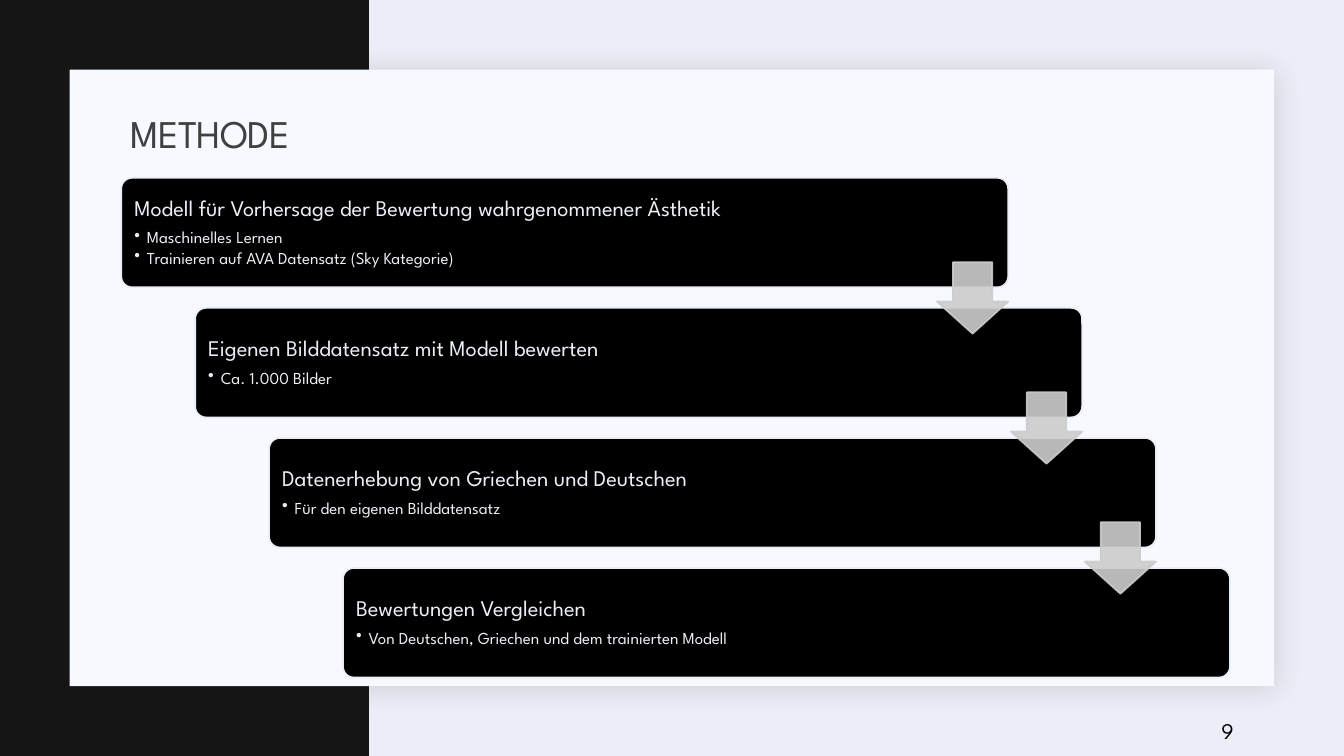
import pptx
import pptx.util
import pptx.dml.color
import pptx.enum.shapes
import pptx.enum.text
import pptx.oxml
import pptx.oxml.ns

Pt = pptx.util.Pt
RGB = pptx.dml.color.RGBColor
KIND = pptx.enum.shapes.MSO_SHAPE
MIDDLE = pptx.enum.text.MSO_ANCHOR.MIDDLE
LEFT = pptx.enum.text.PP_ALIGN.LEFT

FONT = "League Spartan"
PALE = RGB(0xEC, 0xEE, 0xF7)
DARK = RGB(0x14, 0x15, 0x14)
PANEL = RGB(0xF6, 0xF9, 0xFF)
BLACK = RGB(0, 0, 0)
ARROW = RGB(0xCC, 0xCC, 0xCC)
TITLE = RGB(0x40, 0x40, 0x40)

STEPS = [
    ("Modell für Vorhersage der Bewertung wahrgenommener Ästhetik",
     ["Maschinelles Lernen", "Trainieren auf AVA Datensatz (Sky Kategorie)"]),
    ("Eigenen Bilddatensatz mit Modell bewerten", ["Ca. 1.000 Bilder"]),
    ("Datenerhebung von Griechen und Deutschen", ["Für den eigenen Bilddatensatz"]),
    ("Bewertungen Vergleichen", ["Von Deutschen, Griechen und dem trainierten Modell"]),
]


def add_box(slide, kind, box, fill, line=None):
    shape = slide.shapes.add_shape(kind, *map(Pt, box))
    shape.shadow.inherit = False
    shape.fill.solid()
    shape.fill.fore_color.rgb = fill
    if line is None:
        shape.line.fill.background()
    else:
        shape.line.color.rgb = line
        shape.line.width = Pt(1.25)
    return shape


def style(para, size, color):
    para.alignment = LEFT
    for run in para.runs:
        run.font.size = Pt(size)
        run.font.name = FONT
        run.font.color.rgb = color


def add_label(slide, box, text, size, color):
    label = slide.shapes.add_textbox(*map(Pt, box))
    frame = label.text_frame
    frame.word_wrap = True
    frame.vertical_anchor = MIDDLE
    frame.text = text
    style(frame.paragraphs[0], size, color)
    return frame.paragraphs[0]


def add_shade(shape):
    ns = pptx.oxml.ns.nsdecls("a")
    shade = pptx.oxml.parse_xml(
        f'<a:outerShdw {ns} blurRad="{Pt(20)}" dist="{Pt(2)}" dir="2700000" '
        'algn="tl" rotWithShape="0"><a:srgbClr val="1F2125">'
        '<a:alpha val="15000"/></a:srgbClr></a:outerShdw>')
    shape.element.spPr.find(pptx.oxml.ns.qn("a:effectLst")).append(shade)


def draw_back(slide, width, height):
    slide.background.fill.solid()
    slide.background.fill.fore_color.rgb = PALE
    add_box(slide, KIND.RECTANGLE, (0, 0, 263.5, height), DARK)
    edge = 49.8
    panel = add_box(slide, KIND.RECTANGLE,
                    (edge, edge, width - 2 * edge, height - 2 * edge), PANEL)
    add_shade(panel)


def draw_card(slide, box, head, points):
    card = add_box(slide, KIND.ROUNDED_RECTANGLE, box, BLACK, PALE)
    card.adjustments[0] = 0.1
    frame = card.text_frame
    frame.word_wrap = True
    frame.vertical_anchor = MIDDLE
    frame.margin_left = frame.margin_right = Pt(7.2)
    frame.margin_top = frame.margin_bottom = Pt(7.2)
    para = frame.paragraphs[0]
    para.text = head
    para.line_spacing = 0.9
    para.space_after = Pt(5.6)
    style(para, 16, PALE)
    for point in points:
        para = frame.add_paragraph()
        para.text = point
        para.level = 1
        para.line_spacing = 0.9
        para.space_after = Pt(1.8)
        props = para._p.get_or_add_pPr()
        props.set("marL", str(Pt(9)))
        props.set("indent", str(-Pt(9)))
        props.append(pptx.oxml.parse_xml(
            f'<a:buChar {pptx.oxml.ns.nsdecls("a")} char="•"/>'))
        style(para, 12, PALE)


def draw_arrow(slide, box):
    arrow = add_box(slide, KIND.DOWN_ARROW, box, ARROW, ARROW)
    arrow.adjustments[0] = 0.55
    arrow.adjustments[1] = 0.45
    for color in arrow.element.spPr.iter(pptx.oxml.ns.qn("a:srgbClr")):
        color.append(pptx.oxml.parse_xml(
            f'<a:alpha {pptx.oxml.ns.nsdecls("a")} val="90000"/>'))


def draw_steps(slide, left, top, width, height):
    count = len(STEPS)
    wide, tall, side = width * 0.8, 78.3, 51
    across = (width - wide) / (count - 1)
    down = (height - tall) / (count - 1)
    spots = [(left + i * across, top + i * down) for i in range(count)]
    for (x, y), (head, points) in zip(spots, STEPS):
        draw_card(slide, (x, y, wide, tall), head, points)
    for x, y in spots[:-1]:
        draw_arrow(slide, (x + wide - side, y + 60.3, side, side))


def draw_method(slide, width, height):
    draw_back(slide, width, height)
    draw_steps(slide, 86.6, 127, 792, 357)
    title = add_label(slide, (86.4, 74.2, 792, 46), "METHODE", 28, TITLE)
    title.line_spacing = 0.9
    title.runs[0].font._element.set("spc", "-50")
    add_label(slide, (865.4, 507.6, 61.2, 28.8), "9", 16, BLACK)


def main():
    """Build the method slide with its staircase of steps."""
    deck = pptx.Presentation()
    deck.slide_width, deck.slide_height = Pt(960), Pt(540)
    slide = deck.slides.add_slide(deck.slide_layouts[6])
    draw_method(slide, 960, 540)
    deck.save("out.pptx")


if __name__ == "__main__":
    main()
